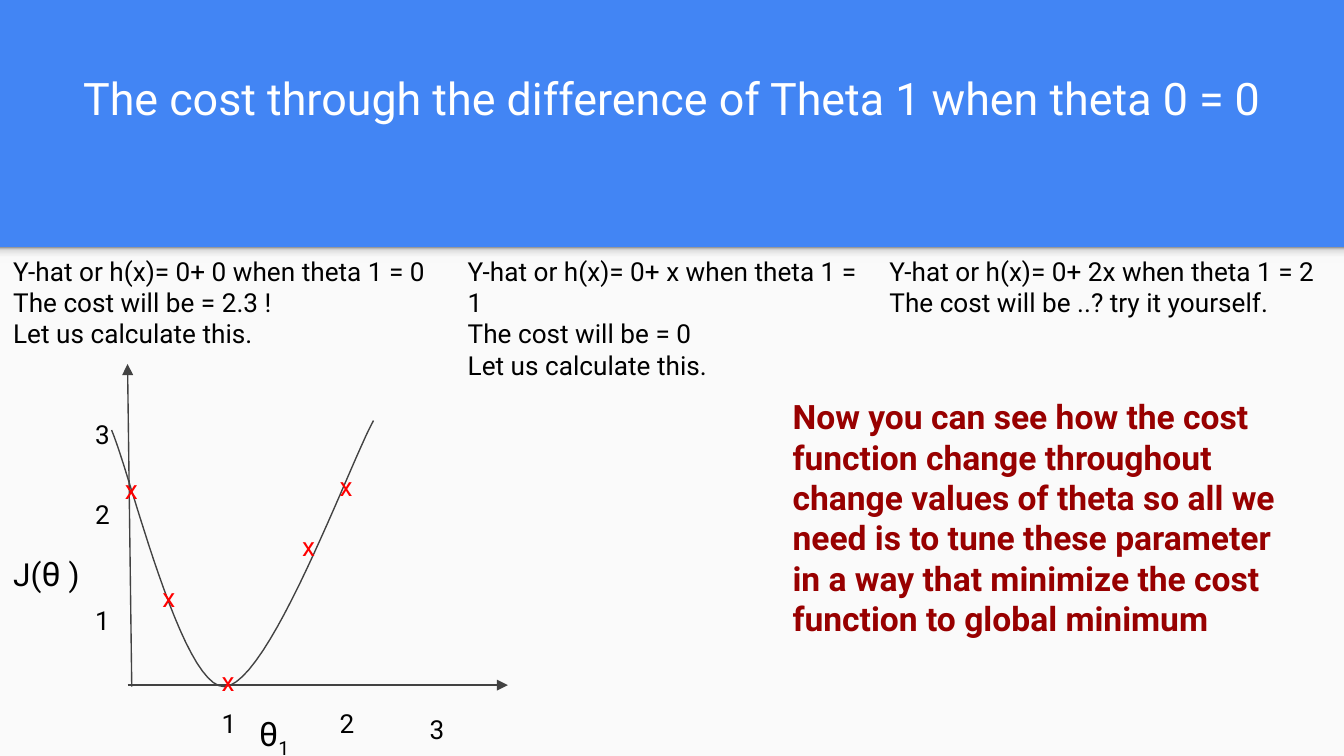
from dataclasses import dataclass

from lxml.etree import SubElement
from pptx import Presentation
from pptx.dml.color import RGBColor as Rgb
from pptx.enum.shapes import MSO_CONNECTOR as Link, MSO_SHAPE as Preset
from pptx.enum.text import MSO_ANCHOR as Anchor, MSO_AUTO_SIZE as AutoSize
from pptx.enum.text import PP_ALIGN as Align
from pptx.oxml.ns import qn
from pptx.util import Cm, Pt


@dataclass(frozen=True)
class Theme:
    font: str = "Roboto"
    band: str = "4285F4"
    panel: str = "FAFAFA"
    title: str = "FFFFFF"
    text: str = "000000"
    mark: str = "FF0000"
    conclusion: str = "980000"
    stroke: str = "424242"
    edge_shade: tuple = ((0, "F9F9F9"), (36, "F9F9F9"), (80, "DEDEDE"), (100, "999999"))
    title_size: float = 24
    symbol_size: float = 18
    axis_size: float = 17
    body_size: float = 14
    line_width: float = 0.75


def write(frame, lines, *, font, size, color, bold=False, anchor=Anchor.TOP):
    """Fill a frame; a line is a string or a list of (text, size, baseline)."""
    frame.word_wrap = True
    frame.auto_size = AutoSize.NONE
    frame.vertical_anchor = anchor
    frame.margin_left = frame.margin_right = Cm(0.25)
    frame.margin_top = frame.margin_bottom = Cm(0.25)
    for index, line in enumerate(lines):
        paragraph = frame.paragraphs[0] if index == 0 else frame.add_paragraph()
        paragraph.alignment = Align.LEFT
        pieces = [(line, size, 0)] if isinstance(line, str) else line
        for content, piece_size, baseline in pieces:
            run = paragraph.add_run()
            run.text = content
            run.font.name = font
            run.font.size = Pt(piece_size)
            run.font.bold = bold
            run.font.color.rgb = Rgb.from_string(color)
            if baseline:
                run.font._element.set("baseline", str(baseline * 1000))


def bezier(p0, p1, p2, p3, steps=24):
    """Points along a cubic curve, without its first point."""
    for step in range(1, steps + 1):
        t = step / steps
        u = 1 - t
        yield tuple(
            u**3 * a + 3 * u * u * t * b + 3 * u * t * t * c + t**3 * d
            for a, b, c, d in zip(p0, p1, p2, p3)
        )


class SlideMaker:
    def __init__(self, slide, theme):
        self.slide = slide
        self.theme = theme

    def background(self, color):
        fill = self.slide.background.fill
        fill.solid()
        fill.fore_color.rgb = Rgb.from_string(color)

    def title(self, content, left, top, width, height):
        heading = self.slide.shapes.title
        heading.left, heading.top = Cm(left), Cm(top)
        heading.width, heading.height = Cm(width), Cm(height)
        write(heading.text_frame, [content], font=self.theme.font,
              size=self.theme.title_size, color=self.theme.title, anchor=Anchor.BOTTOM)

    def text(self, lines, left, top, width, height, **style):
        box = self.slide.shapes.add_textbox(Cm(left), Cm(top), Cm(width), Cm(height))
        style = {"font": self.theme.font, "size": self.theme.body_size,
                 "color": self.theme.text} | style
        write(box.text_frame, lines, **style)

    def rectangle(self, left, top, width, height):
        block = self.slide.shapes.add_shape(
            Preset.RECTANGLE, Cm(left), Cm(top), Cm(width), Cm(height))
        block.shadow.inherit = False
        block.line.fill.background()
        return block

    def panel(self, *place):
        fill = self.rectangle(*place).fill
        fill.solid()
        fill.fore_color.rgb = Rgb.from_string(self.theme.panel)

    def shade(self, *place):
        block = self.rectangle(*place)
        block.fill.gradient()
        block.fill.gradient_angle = 90
        stops = next(block._element.iter(qn("a:gsLst")))
        for stop in list(stops):
            stops.remove(stop)
        for position, color in self.theme.edge_shade:
            stop = SubElement(stops, qn("a:gs"), pos=str(position * 1000))
            SubElement(stop, qn("a:srgbClr"), val=color)

    def stroke(self, line):
        line.color.rgb = Rgb.from_string(self.theme.stroke)
        line.width = Pt(self.theme.line_width)

    def arrow(self, start, end):
        axis = self.slide.shapes.add_connector(
            Link.STRAIGHT, *(Cm(value) for value in (*start, *end)))
        self.stroke(axis.line)
        SubElement(axis.line._get_or_add_ln(), qn("a:tailEnd"), type="triangle")
        SubElement(axis._element.spPr, qn("a:effectLst"))

    def curve(self, start, *segments):
        points = [start]
        for segment in segments:
            points.extend(bezier(points[-1], *segment))
        corners = [(Cm(x), Cm(y)) for x, y in points]
        builder = self.slide.shapes.build_freeform(*corners[0])
        builder.add_line_segments(corners[1:], close=False)
        parabola = builder.convert_to_shape()
        parabola.shadow.inherit = False
        parabola.fill.background()
        self.stroke(parabola.line)


def main():
    theme = Theme()
    deck = Presentation()
    deck.slide_width, deck.slide_height = Cm(25.4), Cm(14.29)
    maker = SlideMaker(deck.slides.add_slide(deck.slide_layouts[5]), theme)

    # Blue band, light panel and its shaded upper edge
    maker.background(theme.band)
    maker.panel(0, 4.67, 25.4, 9.62)
    maker.shade(0, 4.67, 25.4, 0.3)
    maker.title("The cost through the difference of Theta 1 when theta 0 = 0",
                1.32, 0.64, 22.83, 1.96)

    # Three cases side by side
    cases = [
        (8.59, ["Y-hat or h(x)= 0+ 0 when theta 1 = 0", "The cost will be = 2.3 !",
                "Let us calculate this."]),
        (7.97, ["Y-hat or h(x)= 0+ x when theta 1 = 1", "The cost will be = 0",
                "Let us calculate this."]),
        (8.84, ["Y-hat or h(x)= 0+ 2x when theta 1 = 2",
                "The cost will be ..? try it yourself."]),
    ]
    left = 0
    for width, lines in cases:
        maker.text(lines, left, 4.57, width, 2.57)
        left += width

    # Axes with their names
    maker.arrow((2.49, 12.98), (2.41, 6.88))
    maker.arrow((2.41, 12.95), (9.6, 12.95))
    symbol, axis = theme.symbol_size, theme.axis_size
    maker.text([[("θ", symbol, 0), ("1", symbol, -25)]], 4.65, 13.23, 1.22, 0.94)
    maker.text([[("J(", axis, 0), ("θ", symbol, 0), (" )", axis, 0)]],
               0, 10.21, 2.67, 0.94)

    # Tick numbers
    theta_ticks = [(3.94, 13.13), (6.17, 13.13), (7.87, 13.23)]
    cost_ticks = [(1.55, 11.18), (1.55, 9.17), (1.55, 7.65)]
    for ticks in (theta_ticks, cost_ticks):
        for number, place in enumerate(ticks, start=1):
            maker.text([str(number)], *place, 0.71, 1.14)

    # Cost curve and the marks on it
    maker.curve((2.11, 8.13),
                ((2.46, 8.94), (3.43, 13), (4.24, 12.98)),
                ((5.08, 12.95), (6.6, 8.79), (7.06, 7.95)))
    for place in [(2.11, 8.69), (2.82, 10.74), (3.94, 12.32), (5.46, 9.78), (6.17, 8.64)]:
        maker.text(["x"], *place, 0.71, 0.94, color=theme.mark)

    # Conclusion
    maker.text(["Now you can see how the cost function change throughout change values "
                "of theta so all we need is to tune these parameter in a way that "
                "minimize the cost function to global minimum"],
               14.73, 7.24, 9.96, 5.72, size=symbol, color=theme.conclusion, bold=True)

    deck.save("out.pptx")


if __name__ == "__main__":
    main()
